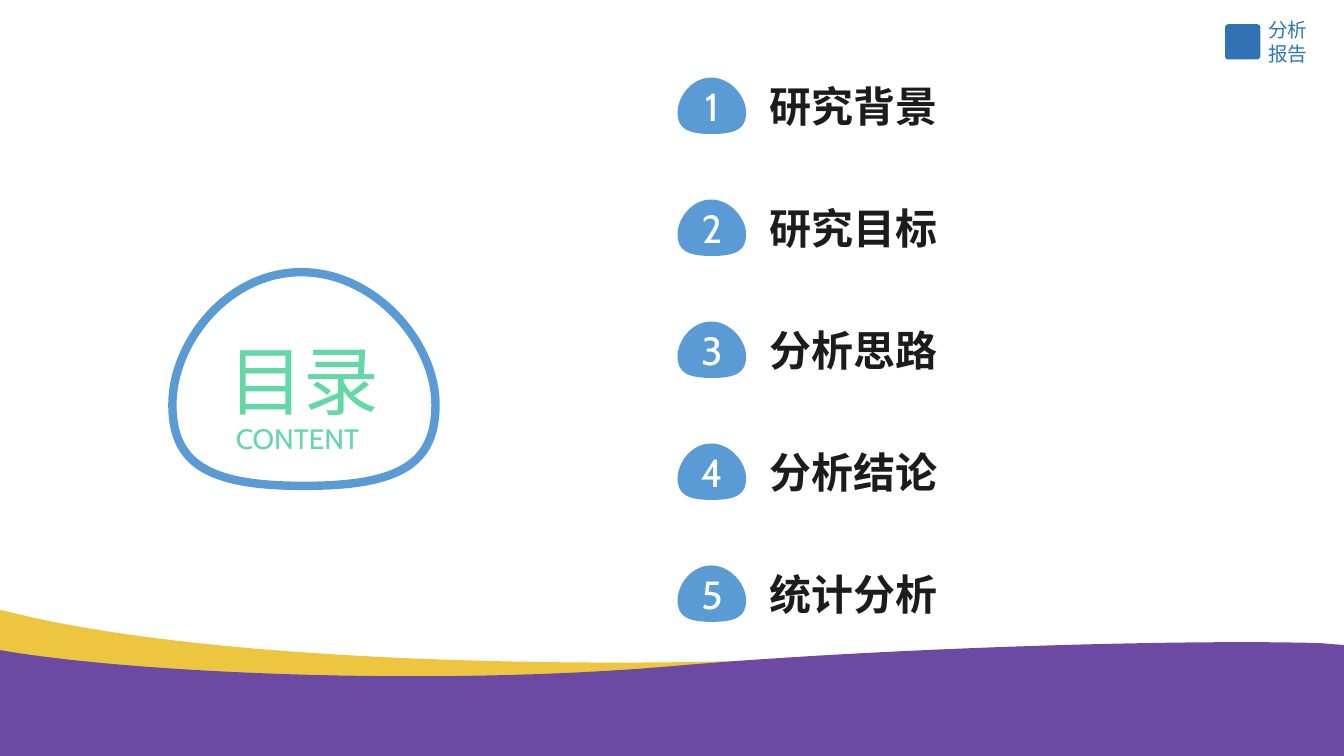
"""Build the contents slide with numbered badges and a wave footer."""
from dataclasses import dataclass
from typing import Any

import lxml.etree
import pptx
import pptx.dml.color
import pptx.enum.shapes
import pptx.enum.text
import pptx.oxml.ns
import pptx.util

Inches = pptx.util.Inches
Pt = pptx.util.Pt
RGBColor = pptx.dml.color.RGBColor
ANCHOR = pptx.enum.text.MSO_ANCHOR
ALIGN = pptx.enum.text.PP_ALIGN
FIT = pptx.enum.text.MSO_AUTO_SIZE
qn = pptx.oxml.ns.qn

BLUE = RGBColor(0x5B, 0x9B, 0xD5)
MARK_BLUE = RGBColor(0x31, 0x72, 0xB5)
LABEL_BLUE = RGBColor(0x2E, 0x75, 0xB6)
GREEN = RGBColor(0x63, 0xD7, 0xA6)
INK = RGBColor(0x1C, 0x1C, 0x1C)
YELLOW = RGBColor(0xED, 0xC5, 0x3F)
PURPLE = RGBColor(0x6C, 0x49, 0xA3)
WHITE = RGBColor(0xFF, 0xFF, 0xFF)

CJK = "Noto Sans CJK SC"
LATIN = "Cabin"
TOPICS = ("研究背景", "研究目标", "分析思路", "分析结论", "统计分析")
TOPIC_TOP, TOPIC_STEP = 0.75, 1.21

Point = tuple[float, float]


@dataclass(frozen=True)
class Box:
    left: float
    top: float
    width: float
    height: float

    def inches(self) -> list[int]:
        return [Inches(v) for v in (self.left, self.top, self.width, self.height)]

    def place(self, point: Point) -> tuple[int, int]:
        return (Inches(self.left + point[0] * self.width),
                Inches(self.top + point[1] * self.height))


@dataclass(frozen=True)
class TextStyle:
    size: int
    color: RGBColor
    name: str = CJK
    bold: bool = False
    align: Any = ALIGN.LEFT


@dataclass(frozen=True)
class Outline:
    """A start point and segments of one (line) or three (curve) points."""
    start: Point
    segments: tuple[tuple[Point, ...], ...]


PEBBLE = Outline((0.49, 0), (
    ((0.21, 0), (0, 0.33), (0, 0.62)),
    ((0, 0.9), (0.14, 1), (0.5, 1)),
    ((0.86, 1), (1, 0.9), (1, 0.62)),
    ((1, 0.33), (0.77, 0), (0.49, 0)),
))
WAVES = (
    (YELLOW, Outline((13.33, 7.5), (
        ((0, 7.5),), ((0, 6.05),), ((0.34, 6.13),),
        ((2.54, 6.61), (6.29, 6.61), (7.81, 6.54)),
        ((9.32, 6.47), (11.2, 6.73), (12.97, 6.89)),
        ((13.33, 6.91),),
    ))),
    (PURPLE, Outline((13.33, 7.5), (
        ((0, 7.5),), ((0, 6.45),),
        ((1.33, 6.68), (4.31, 6.81), (6.65, 6.61)),
        ((8.7, 6.43), (11.69, 6.34), (13.09, 6.38)),
        ((13.33, 6.4),), ((13.33, 7.26),), ((13.33, 7.5),),
    ))),
)


def add_outline(s: Any, outline: Outline, fill: RGBColor,
                box: Box = Box(0, 0, 1, 1)) -> Any:
    builder = s.shapes.build_freeform(*box.place(outline.start))
    ends = [box.place(segment[-1]) for segment in outline.segments]
    builder.add_line_segments(ends, close=True)
    sp = builder.convert_to_shape()
    lines = list(sp.element.iter(qn("a:lnTo")))
    for line, segment in zip(lines, outline.segments):
        if len(segment) == 3:
            line.getparent().replace(line, curve(sp, segment, box))
    paint(sp, fill)
    return sp


def curve(sp: Any, segment: tuple[Point, ...], box: Box) -> Any:
    bezier = lxml.etree.Element(qn("a:cubicBezTo"))
    for point in segment:
        x, y = box.place(point)
        pt = lxml.etree.SubElement(bezier, qn("a:pt"))
        pt.set("x", str(x - sp.left))
        pt.set("y", str(y - sp.top))
    return bezier


def paint(sp: Any, fill: RGBColor) -> None:
    sp.shadow.inherit = False
    sp.fill.solid()
    sp.fill.fore_color.rgb = fill
    sp.line.fill.background()


def write(sp: Any, text: str, style: TextStyle, **frame: Any) -> None:
    tf = sp.text_frame
    for key, value in frame.items():
        setattr(tf, key, value)
    p = tf.paragraphs[0]
    p.alignment = style.align
    r = p.add_run()
    r.text = text
    font = {"size": Pt(style.size), "bold": style.bold, "name": style.name}
    for key, value in font.items():
        setattr(r.font, key, value)
    r.font.color.rgb = style.color
    for latin in sp.element.iter(qn("a:latin")):
        ea = lxml.etree.Element(qn("a:ea"))
        ea.set("typeface", CJK)
        latin.addnext(ea)


def add_text(s: Any, box: Box, text: str, style: TextStyle) -> None:
    sp = s.shapes.add_textbox(*box.inches())
    write(sp, text, style, word_wrap=True, auto_size=FIT.SHAPE_TO_FIT_TEXT)


CENTERED = {"margin_left": 0, "margin_top": 0, "margin_right": 0,
            "margin_bottom": 0, "vertical_anchor": ANCHOR.MIDDLE,
            "word_wrap": False, "auto_size": FIT.NONE}


def add_header(s: Any) -> None:
    sp = s.shapes.add_shape(pptx.enum.shapes.MSO_SHAPE.ROUNDED_RECTANGLE,
                            *Box(12.15, 0.24, 0.35, 0.35).inches())
    sp.adjustments[0] = 0.09
    paint(sp, MARK_BLUE)
    add_text(s, Box(12.48, 0.13, 0.71, 0.57), "分析报告", TextStyle(14, LABEL_BLUE))


def add_topic(s: Any, number: int, topic: str) -> None:
    top = TOPIC_TOP + (number - 1) * TOPIC_STEP
    add_text(s, Box(7.53, top, 2.17, 0.61), topic, TextStyle(30, INK, bold=True))
    badge = add_outline(s, PEBBLE, BLUE, Box(6.72, top + 0.02, 0.68, 0.56))
    write(badge, str(number), TextStyle(28, WHITE, LATIN, align=ALIGN.CENTER),
          **CENTERED)


def add_heading(s: Any) -> None:
    box = Box(1.71, 2.7, 2.61, 2.12)
    frame = add_outline(s, PEBBLE, WHITE, box)
    frame.line.color.rgb = BLUE
    frame.line.width = Pt(6)
    title = s.shapes.title
    title.left, title.top, title.width, title.height = box.inches()
    title.element.getparent().append(title.element)
    write(title, "目录", TextStyle(54, GREEN, LATIN, align=ALIGN.CENTER), **CENTERED)
    add_text(s, Box(2.24, 4.13, 1.65, 0.44), "CONTENT",
             TextStyle(20, GREEN, LATIN, align=ALIGN.JUSTIFY))


def main() -> None:
    prs = pptx.Presentation()
    prs.slide_width, prs.slide_height = Inches(13.33), Inches(7.5)
    s = prs.slides.add_slide(prs.slide_layouts.get_by_name("Title Only"))
    add_header(s)
    for color, wave in WAVES:
        add_outline(s, wave, color)
    for number, topic in enumerate(TOPICS, 1):
        add_topic(s, number, topic)
    add_heading(s)
    prs.save("out.pptx")


if __name__ == "__main__":
    main()
